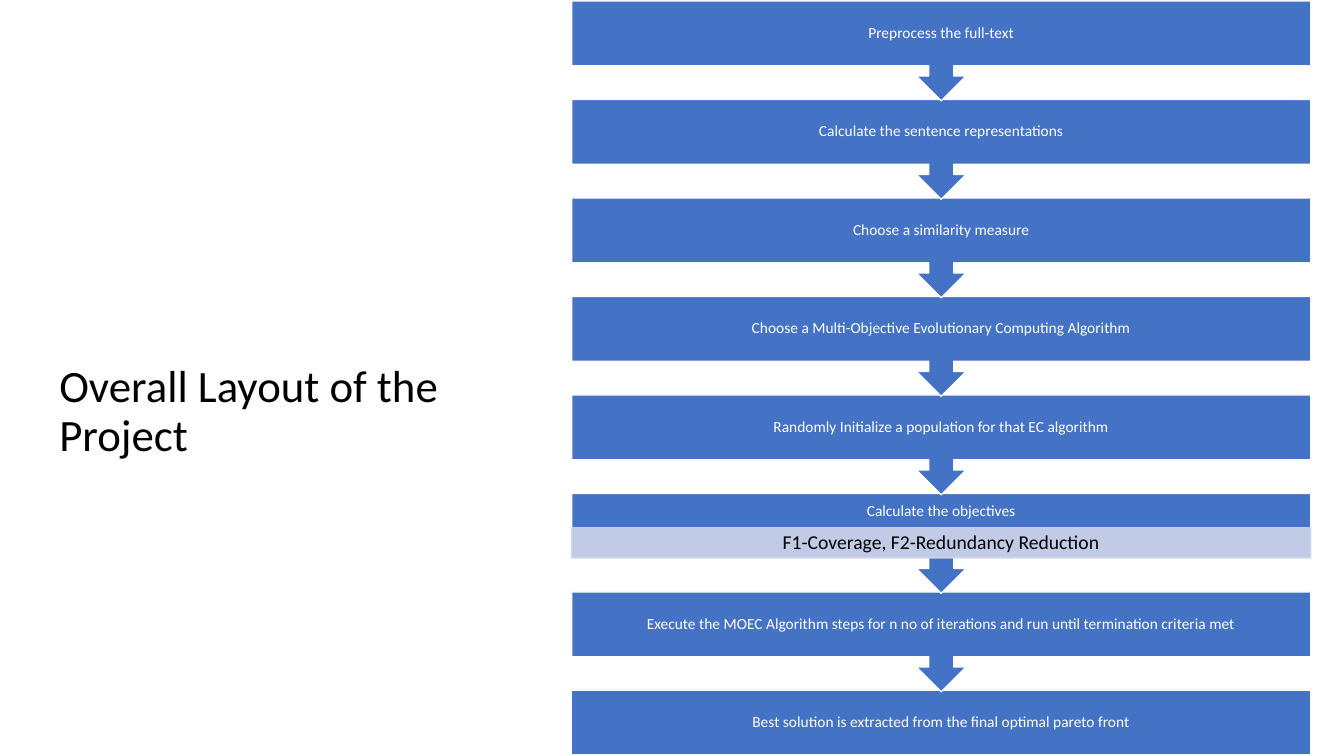
import lxml.etree
import pptx
import pptx.dml.color
import pptx.enum.shapes
import pptx.enum.text
import pptx.oxml.ns
import pptx.util

Inches = pptx.util.Inches
Pt = pptx.util.Pt
Shape = pptx.enum.shapes.MSO_SHAPE
Anchor = pptx.enum.text.MSO_ANCHOR
Align = pptx.enum.text.PP_ALIGN

LEFT, WIDTH = 5.67, 7.33
FIRST_TOP, LAST_TOP = 0.01, 6.85
BOX_HEIGHT, CALLOUT_HEIGHT = 0.64, 0.99
STEPS = [
    "Preprocess the full-text",
    "Calculate the sentence representations",
    "Choose a similarity measure",
    "Choose a Multi-Objective Evolutionary Computing Algorithm",
    "Randomly Initialize a population for that EC algorithm",
    "Calculate the objectives",
    "Execute the MOEC Algorithm steps for n no of iterations and run until termination criteria met",
    "Best solution is extracted from the final optimal pareto front",
]
OBJECTIVES = {"Calculate the objectives": "F1-Coverage, F2-Redundancy Reduction"}

deck = pptx.Presentation()
deck.slide_width, deck.slide_height = Inches(13.33), Inches(7.5)
page = deck.slides.add_slide(deck.slide_layouts[6])


def add_text(text, left, top, width, height, size=11, color="FFFFFF",
             align=Align.CENTER, anchor=Anchor.MIDDLE, inset=(0.09, 0.09)):
    box = page.shapes.add_textbox(Inches(left), Inches(top), Inches(width), Inches(height))
    frame = box.text_frame
    frame.word_wrap = True
    frame.vertical_anchor = anchor
    frame.margin_left = frame.margin_right = Inches(inset[0])
    frame.margin_top = frame.margin_bottom = Inches(inset[1])
    para = frame.paragraphs[0]
    para.alignment = align
    para.line_spacing = 0.9
    span = para.add_run()
    span.text = text
    span.font.name = "Calibri"
    span.font.size = Pt(size)
    span.font.color.rgb = pptx.dml.color.RGBColor.from_string(color)


def add_block(kind, top, height, fill, line, opacity=100):
    block = page.shapes.add_shape(kind, Inches(LEFT), Inches(top), Inches(WIDTH), Inches(height))
    block.shadow.inherit = False
    block.fill.solid()
    block.fill.fore_color.rgb = pptx.dml.color.RGBColor.from_string(fill)
    block.line.color.rgb = pptx.dml.color.RGBColor.from_string(line)
    block.line.width = Pt(1)
    if opacity < 100:
        for color in block.element.spPr.iter(pptx.oxml.ns.qn("a:srgbClr")):
            alpha = lxml.etree.SubElement(color, pptx.oxml.ns.qn("a:alpha"))
            alpha.set("val", str(opacity * 1000))
    return block


add_text("Overall Layout of the Project", 0.49, 2.87, 4.3, 1.75, size=32, color="000000",
         align=Align.LEFT, anchor=Anchor.BOTTOM, inset=(0.1, 0.05))

# Stack from the bottom up, so that each arrow tip lies over the next box
last = len(STEPS) - 1
pitch = (LAST_TOP - FIRST_TOP) / last
for index in range(last, -1, -1):
    step = STEPS[index]
    top = FIRST_TOP + index * pitch
    if index == last:
        add_block(Shape.RECTANGLE, top, BOX_HEIGHT, "4472C4", "FFFFFF")
    else:
        callout = add_block(Shape.UP_ARROW_CALLOUT, top, CALLOUT_HEIGHT, "4472C4", "FFFFFF")
        callout.rotation = 180
    if step in OBJECTIVES:
        add_text(step, LEFT, top, WIDTH, 0.35)
        strip_top = top + 0.34
        add_block(Shape.RECTANGLE, strip_top, 0.3, "CFD5EA", "CFD5EA", opacity=90)
        add_text(OBJECTIVES[step], LEFT, strip_top, WIDTH, 0.3, size=14, color="000000",
                 inset=(0.11, 0.02))
    else:
        add_text(step, LEFT, top, WIDTH, BOX_HEIGHT)

deck.save("out.pptx")
